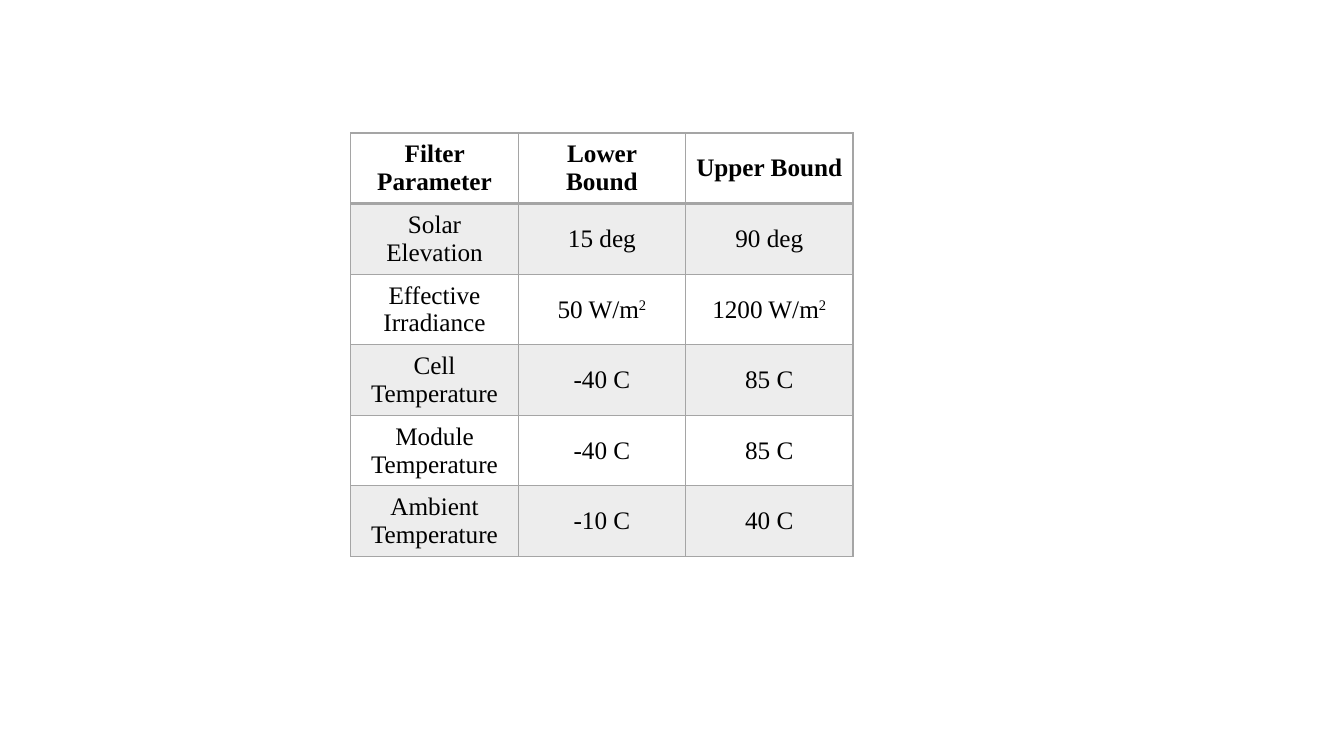
from pptx import Presentation
from pptx.dml.color import RGBColor
from pptx.enum.text import MSO_ANCHOR, PP_ALIGN
from pptx.util import Inches, Pt
from lxml import etree
from pptx.oxml.ns import qn

GRAY = "A5A5A5"
ROWS = [
    ["Filter Parameter", "Lower Bound", "Upper Bound"],
    ["Solar Elevation", "15 deg", "90 deg"],
    ["Effective Irradiance", "50 W/m^2", "1200 W/m^2"],
    ["Cell Temperature", "-40 C", "85 C"],
    ["Module Temperature", "-40 C", "85 C"],
    ["Ambient Temperature", "-10 C", "40 C"],
]


def color(value):
    return RGBColor.from_string(value)


def set_borders(cell, widths):
    """Put the border lines ahead of the fill, as the schema requires."""
    tcPr = cell._tc.get_or_add_tcPr()
    for i, (side, width) in enumerate(widths.items()):
        ln = etree.Element(qn("a:ln" + side), w=str(Pt(width)))
        fill = etree.SubElement(ln, qn("a:solidFill"))
        etree.SubElement(fill, qn("a:srgbClr"), val=GRAY)
        tcPr.insert(i, ln)


prs = Presentation()
prs.slide_width, prs.slide_height = Inches(13.33), Inches(7.5)
s = prs.slides.add_slide(prs.slide_layouts[6])

# Filter bounds table
table = s.shapes.add_table(len(ROWS), 3, Inches(3.48), Inches(1.32),
                           Inches(4.98), Inches(4.2)).table
for column in table.columns:
    column.width = Inches(1.66)

for i, row in enumerate(ROWS):
    for j, text in enumerate(row):
        cell = table.cell(i, j)
        cell.vertical_anchor = MSO_ANCHOR.MIDDLE

        # Shade every second row with translucent gray
        if i % 2:
            cell.fill.solid()
            cell.fill.fore_color.rgb = color(GRAY)
            clr = cell._tc.tcPr.find(".//" + qn("a:srgbClr"))
            etree.SubElement(clr, qn("a:alpha"), val="20000")
        else:
            cell.fill.background()

        # Heavier line between header and body
        set_borders(cell, {"L": 1, "R": 1, "T": 2 if i == 1 else 1,
                           "B": 2 if i == 0 else 1})

        # Cell text; the part after ^ is superscript
        p = cell.text_frame.paragraphs[0]
        p.alignment = PP_ALIGN.CENTER
        for k, part in enumerate(text.split("^")):
            r = p.add_run()
            r.text = part
            r.font.name = "Times New Roman"
            r.font.size = Pt(18)
            r.font.bold = i == 0
            r.font.color.rgb = color("000000")
            if k:
                r.font._element.set("baseline", "30000")

prs.save("out.pptx")
